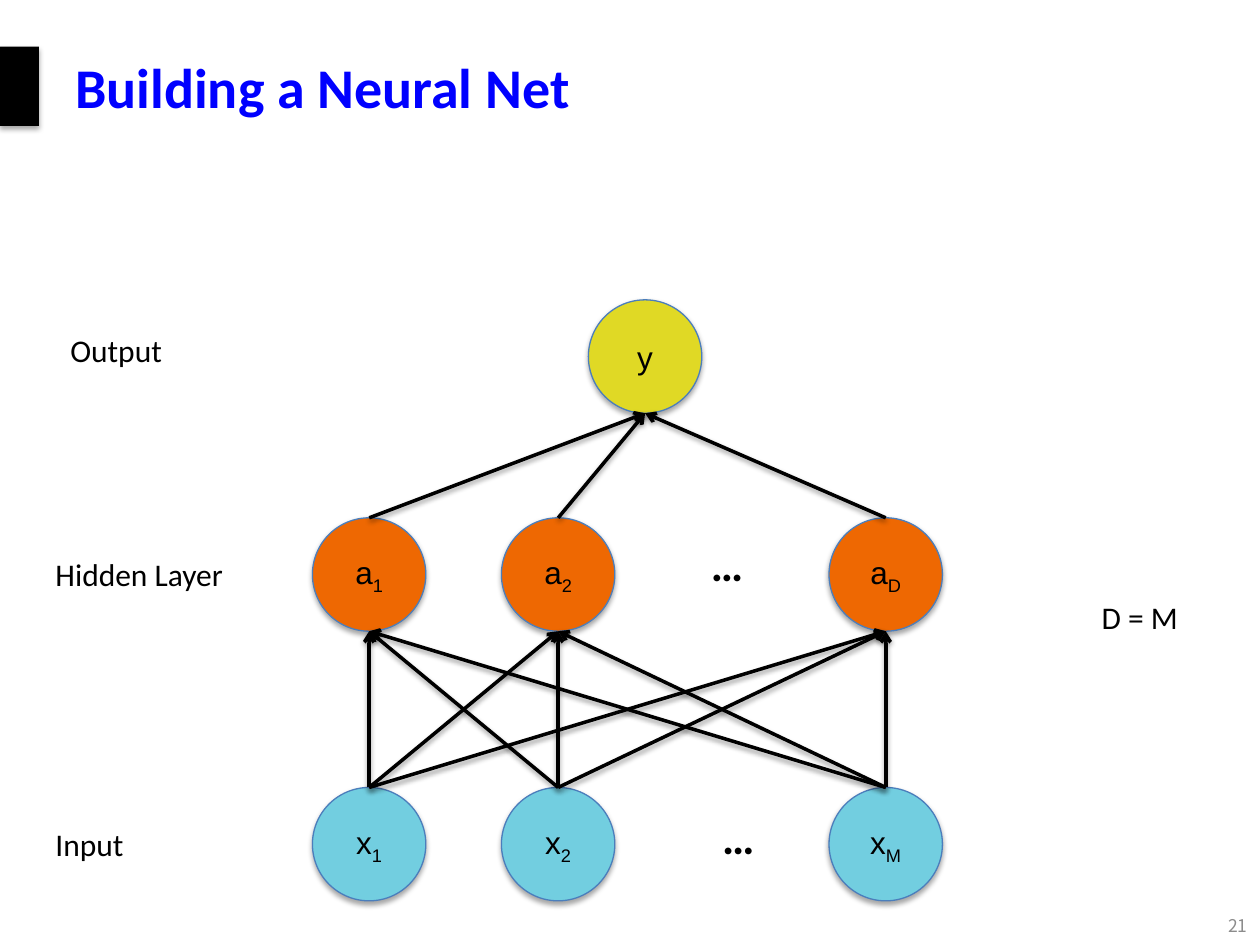
from itertools import product

from lxml import etree
from pptx import Presentation
from pptx.dml.color import RGBColor
from pptx.enum import shapes, text
from pptx.oxml.ns import qn
from pptx.util import Inches, Pt

BLACK = RGBColor(0x00, 0x00, 0x00)
TITLE_BLUE = RGBColor(0x00, 0x00, 0xFF)
OUTLINE_BLUE = RGBColor(0x4B, 0x7E, 0xBC)
INPUT_BLUE = RGBColor(0x72, 0xCE, 0xE0)
HIDDEN_ORANGE = RGBColor(0xEE, 0x68, 0x02)
OUTPUT_YELLOW = RGBColor(0xE0, 0xD9, 0x25)
GREY = RGBColor(0x8C, 0x8C, 0x8C)

NODE_SIZE = 0.9
LEFT, CENTER, RIGHT = text.PP_ALIGN.LEFT, text.PP_ALIGN.CENTER, text.PP_ALIGN.RIGHT
TOP, MIDDLE = text.MSO_ANCHOR.TOP, text.MSO_ANCHOR.MIDDLE


def add_shadow(part, opacity, distance):
    """Give a shape or connector a soft shadow straight below it."""
    properties = part._element.spPr
    effects = properties.find(qn("a:effectLst"))
    if effects is None:
        effects = etree.SubElement(properties, qn("a:effectLst"))
    shadow = etree.SubElement(
        effects, qn("a:outerShdw"), blurRad=str(Pt(3.1)), dist=str(Pt(distance)),
        dir="5400000", rotWithShape="0")
    color = etree.SubElement(shadow, qn("a:srgbClr"), val=str(BLACK))
    etree.SubElement(color, qn("a:alpha"), val=str(opacity * 1000))


def add_text(page, box, words, size=18, align=LEFT, anchor=TOP, color=BLACK,
             bold=False, font="Calibri"):
    label = page.shapes.add_textbox(*map(Inches, box))
    frame = label.text_frame
    frame.word_wrap = True
    frame.vertical_anchor = anchor
    para = frame.paragraphs[0]
    para.text = words
    para.alignment = align
    para.font.name = font
    para.font.size = Pt(size)
    para.font.bold = bold
    para.font.color.rgb = color


def add_node(page, left, top, letter, subscript, color):
    node = page.shapes.add_shape(
        shapes.MSO_SHAPE.FLOWCHART_CONNECTOR,
        *map(Inches, (left, top, NODE_SIZE, NODE_SIZE)))
    node.fill.solid()
    node.fill.fore_color.rgb = color
    node.line.color.rgb = OUTLINE_BLUE
    node.line.width = Pt(0.75)
    node.shadow.inherit = False
    add_shadow(node, 35, 1.8)
    node.text_frame.vertical_anchor = MIDDLE
    para = node.text_frame.paragraphs[0]
    para.alignment = CENTER
    para.font.name = "Arial"
    para.font.size = Pt(18)
    para.font.color.rgb = BLACK
    para.add_run().text = letter
    if subscript:
        span = para.add_run()
        span.text = subscript
        span.font._element.set("baseline", "-25000")


def add_arrow(page, target, source):
    """Draw a line whose arrowhead sits at its start, the target."""
    arrow = page.shapes.add_connector(
        shapes.MSO_CONNECTOR.STRAIGHT, *map(Inches, target + source))
    arrow.line.color.rgb = BLACK
    arrow.line.width = Pt(2)
    etree.SubElement(arrow.line._get_or_add_ln(), qn("a:headEnd"), type="arrow")
    add_shadow(arrow, 38, 1.6)


def add_header(page, box):
    left, top, width, height = box
    # Black tab at the slide edge
    tab = page.shapes.add_shape(
        shapes.MSO_SHAPE.RECTANGLE, *map(Inches, (left, top + 0.31, 0.31, 0.63)))
    tab.fill.solid()
    tab.fill.fore_color.rgb = BLACK
    tab.line.fill.background()
    tab.shadow.inherit = False
    add_shadow(tab, 35, 1.8)
    # Title
    add_text(page, (left + 0.5, top, width - 1, height), "Building a Neural Net",
             size=32, anchor=MIDDLE, color=TITLE_BLUE, bold=True)


def add_network(page, box):
    left, top, width, height = box
    columns = [left, left + 1.5, left + width - NODE_SIZE]
    input_top = top + height - NODE_SIZE
    hidden_top = top + 1.73
    output_left = left + 2.19

    # Nodes of the three layers
    layers = [
        (input_top, "x", "12M", columns, INPUT_BLUE),
        (hidden_top, "a", "12D", columns, HIDDEN_ORANGE),
        (top, "y", [""], [output_left], OUTPUT_YELLOW),
    ]
    for layer_top, letter, subscripts, lefts, color in layers:
        for node_left, subscript in zip(lefts, subscripts):
            add_node(page, node_left, layer_top, letter, subscript, color)

    # Ellipses for the nodes left out
    for dots_left, dots_top in [(3, hidden_top + 0.09), (3.09, input_top + 0.12)]:
        add_text(page, (left + dots_left, dots_top, 0.58, 0.54), "…", size=26,
                 align=CENTER, anchor=MIDDLE, bold=True)

    # Every node feeds every node of the layer above
    for (low_top, _, _, sources, _), (high_top, _, _, targets, _) in zip(layers, layers[1:]):
        for target, source in product(targets, sources):
            add_arrow(page, (target + NODE_SIZE / 2, high_top + NODE_SIZE),
                      (source + NODE_SIZE / 2, low_top))


def add_labels(page):
    add_text(page, (0.46, 2.58, 1.42, 0.4), "Output")
    for box, words in [
        ((0, 6.5, 1.42, 0.4), "Input"),
        ((-0.02, 4.36, 2.25, 0.4), "Hidden Layer"),
        ((7.92, 4.7, 2.25, 0.4), "D = M"),
    ]:
        add_text(page, box, words, align=CENTER)


def add_page_number(page, box):
    add_text(page, box, "21", size=10, align=RIGHT, anchor=MIDDLE, color=GREY,
             font="Noto Sans CJK SC")


def main():
    deck = Presentation()
    deck.slide_width, deck.slide_height = Inches(10), Inches(7.5)
    page = deck.slides.add_slide(deck.slide_layouts[6])
    add_header(page, (0, 0.06, 10, 1.25))
    add_network(page, (2.48, 2.38, 5, 4.77))
    add_labels(page)
    add_page_number(page, (8.46, 7.2, 1.54, 0.29))
    deck.save("out.pptx")


if __name__ == "__main__":
    main()
